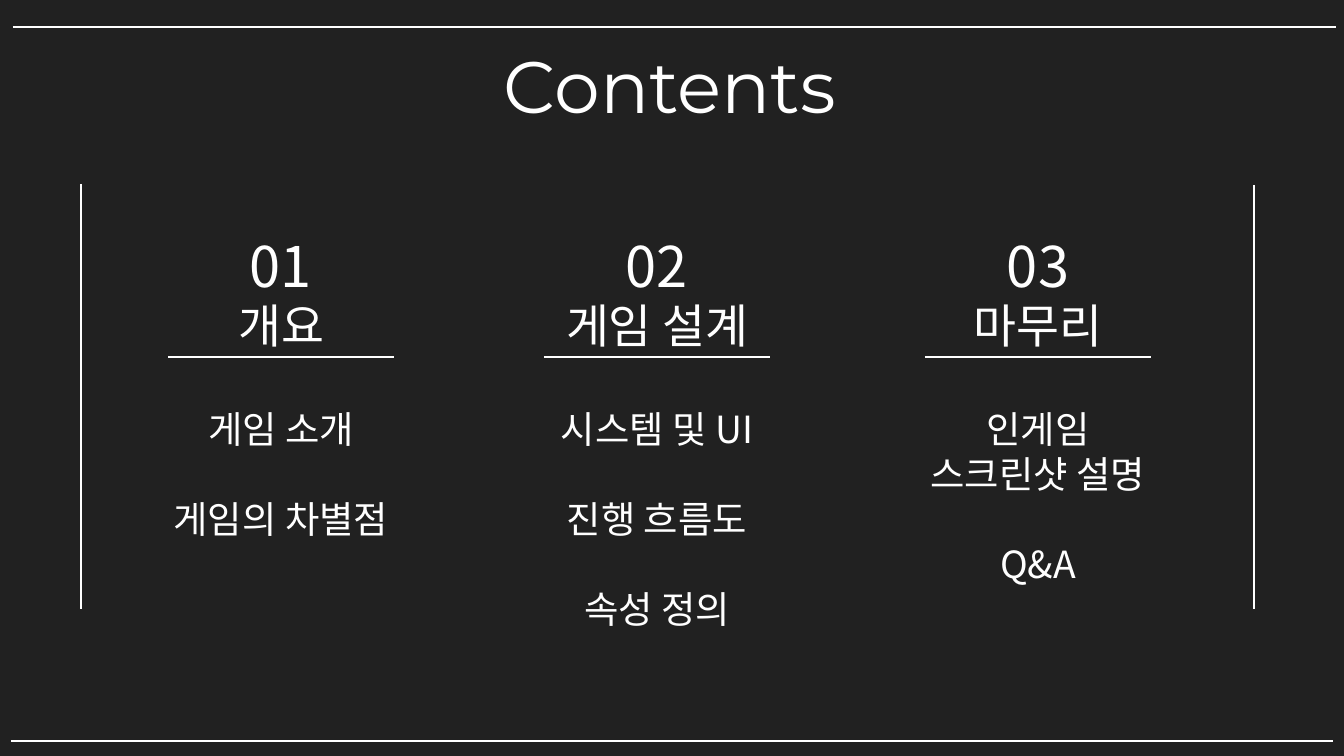
from dataclasses import dataclass

from lxml import etree
from pptx import Presentation
from pptx.dml.color import RGBColor
from pptx.enum.shapes import MSO_CONNECTOR
from pptx.enum.text import MSO_ANCHOR, MSO_AUTO_SIZE, PP_ALIGN
from pptx.oxml.ns import qn
from pptx.slide import Slide
from pptx.text.text import TextFrame
from pptx.util import Emu, Inches, Pt

STRAIGHT = MSO_CONNECTOR.STRAIGHT
TOP = MSO_ANCHOR.TOP
NO_AUTOFIT = MSO_AUTO_SIZE.NONE
CENTER = PP_ALIGN.CENTER

PX_PER_INCH = 134.4
TITLE_ONLY = 5


@dataclass(frozen=True)
class Theme:
    background: RGBColor = RGBColor(0x21, 0x21, 0x21)
    foreground: RGBColor = RGBColor(0xFF, 0xFF, 0xFF)
    title_font: str = "Montserrat"
    body_font: str = "Noto Sans CJK KR"
    title_size: int = 39
    number_size: int = 30
    heading_size: int = 25
    item_size: int = 20
    number_pitch: float = 40
    heading_pitch: float = 28.6
    item_pitch: float = 24
    first_item_gap: float = 29
    item_gap: float = 24
    line_width: float = 0.75


@dataclass(frozen=True)
class Column:
    left: int
    heading: str
    items: tuple[str, ...]


@dataclass(frozen=True)
class Rule:
    x1: int
    y1: int
    x2: int
    y2: int


THEME = Theme()
COLUMN_TOP, COLUMN_WIDTH, COLUMN_HEIGHT = 211, 250, 396
UNDERLINE_Y, UNDERLINE_INSET = 357, 12

COLUMNS = (
    Column(156, "개요", ("게임 소개", "게임의 차별점")),
    Column(532, "게임 설계", ("시스템 및 UI", "진행 흐름도", "속성 정의")),
    Column(913, "마무리", ("인게임 스크린샷 설명", "Q&A")),
)

FRAME = (
    Rule(13, 27, 1336, 27),
    Rule(81, 184, 81, 609),
    Rule(11, 741, 1333, 741),
    Rule(1254, 185, 1254, 609),
)


def px(value: int) -> Emu:
    return Inches(value / PX_PER_INCH)


def prepare_frame(frame: TextFrame) -> None:
    frame.word_wrap = True
    frame.auto_size = NO_AUTOFIT
    frame.vertical_anchor = TOP
    frame.margin_left = frame.margin_right = Inches(0.1)
    frame.margin_top = frame.margin_bottom = Inches(0.1)


def write_paragraph(frame: TextFrame, text: str, *, font: str, size: int,
                    pitch: float | None = None, before: float = 0) -> None:
    """Fill the empty first paragraph, or add another one after it."""
    paragraph = frame.paragraphs[0]
    if paragraph.runs:
        paragraph = frame.add_paragraph()
    paragraph.alignment = CENTER
    paragraph.space_before = Pt(before)
    paragraph.line_spacing = Pt(pitch) if pitch else 1.0
    run = paragraph.add_run()
    run.text = text
    run.font.name = font
    run.font.size = Pt(size)
    run.font.color.rgb = THEME.foreground
    east_asian = etree.SubElement(run.font._element, qn("a:ea"))
    east_asian.set("typeface", font)


def draw_rule(slide: Slide, rule: Rule) -> None:
    connector = slide.shapes.add_connector(
        STRAIGHT, px(rule.x1), px(rule.y1), px(rule.x2), px(rule.y2))
    connector.line.color.rgb = THEME.foreground
    connector.line.width = Pt(THEME.line_width)
    etree.SubElement(connector._element.spPr, qn("a:effectLst"))


def draw_title(slide: Slide, text: str) -> None:
    title = slide.shapes.title
    title.left, title.top, title.width, title.height = map(px, (487, 27, 366, 93))
    prepare_frame(title.text_frame)
    write_paragraph(title.text_frame, text, font=THEME.title_font, size=THEME.title_size)


def draw_column(slide: Slide, number: int, column: Column) -> None:
    box = slide.shapes.add_textbox(
        px(column.left), px(COLUMN_TOP), px(COLUMN_WIDTH), px(COLUMN_HEIGHT))
    frame = box.text_frame
    prepare_frame(frame)
    write_paragraph(frame, f"{number:02d}", font=THEME.body_font,
                    size=THEME.number_size, pitch=THEME.number_pitch)
    write_paragraph(frame, column.heading, font=THEME.body_font,
                    size=THEME.heading_size, pitch=THEME.heading_pitch)
    for index, item in enumerate(column.items):
        write_paragraph(frame, item, font=THEME.body_font,
                        size=THEME.item_size, pitch=THEME.item_pitch,
                        before=THEME.item_gap if index else THEME.first_item_gap)
    draw_rule(slide, Rule(column.left + UNDERLINE_INSET, UNDERLINE_Y,
                          column.left + COLUMN_WIDTH - UNDERLINE_INSET, UNDERLINE_Y))


def main() -> None:
    presentation = Presentation()
    presentation.slide_width = px(1344)
    presentation.slide_height = px(756)
    slide = presentation.slides.add_slide(presentation.slide_layouts[TITLE_ONLY])
    slide.background.fill.solid()
    slide.background.fill.fore_color.rgb = THEME.background

    draw_title(slide, "Contents")
    for rule in FRAME:
        draw_rule(slide, rule)
    for number, column in enumerate(COLUMNS, start=1):
        draw_column(slide, number, column)
    presentation.save("out.pptx")


if __name__ == "__main__":
    main()
